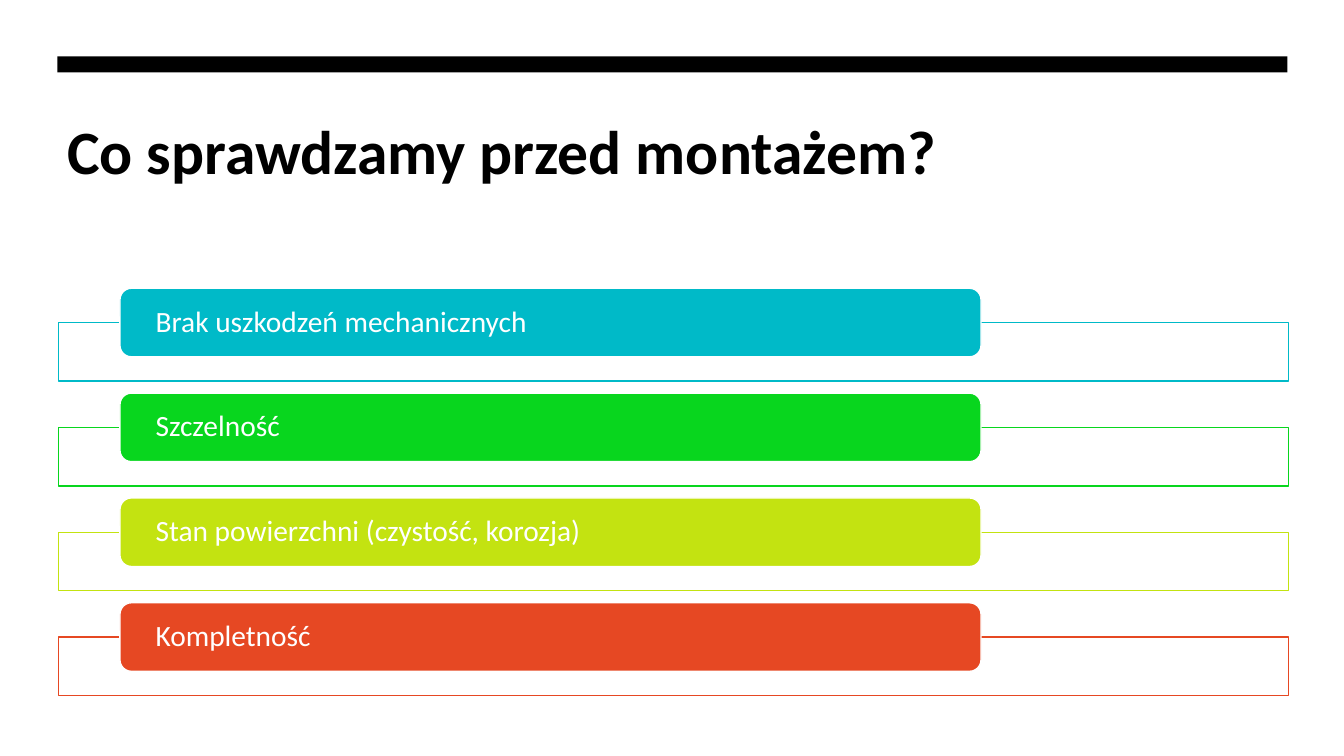
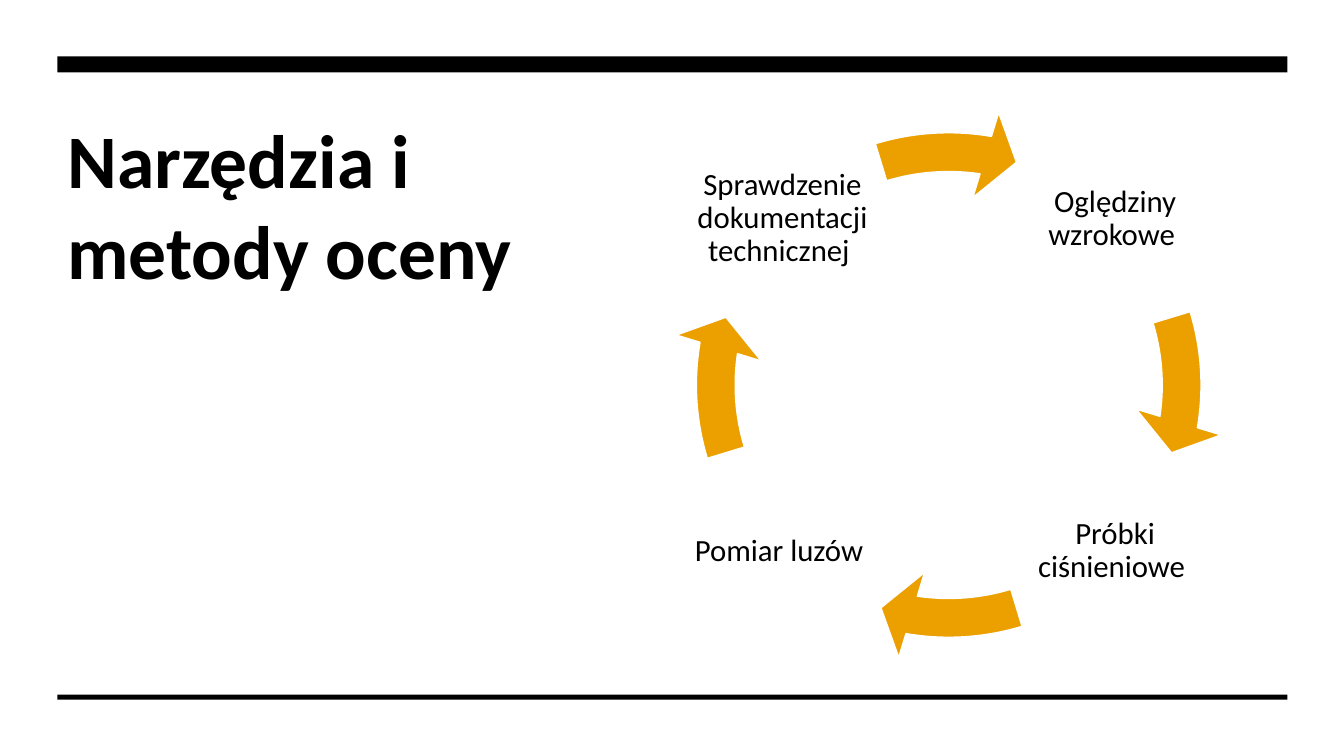
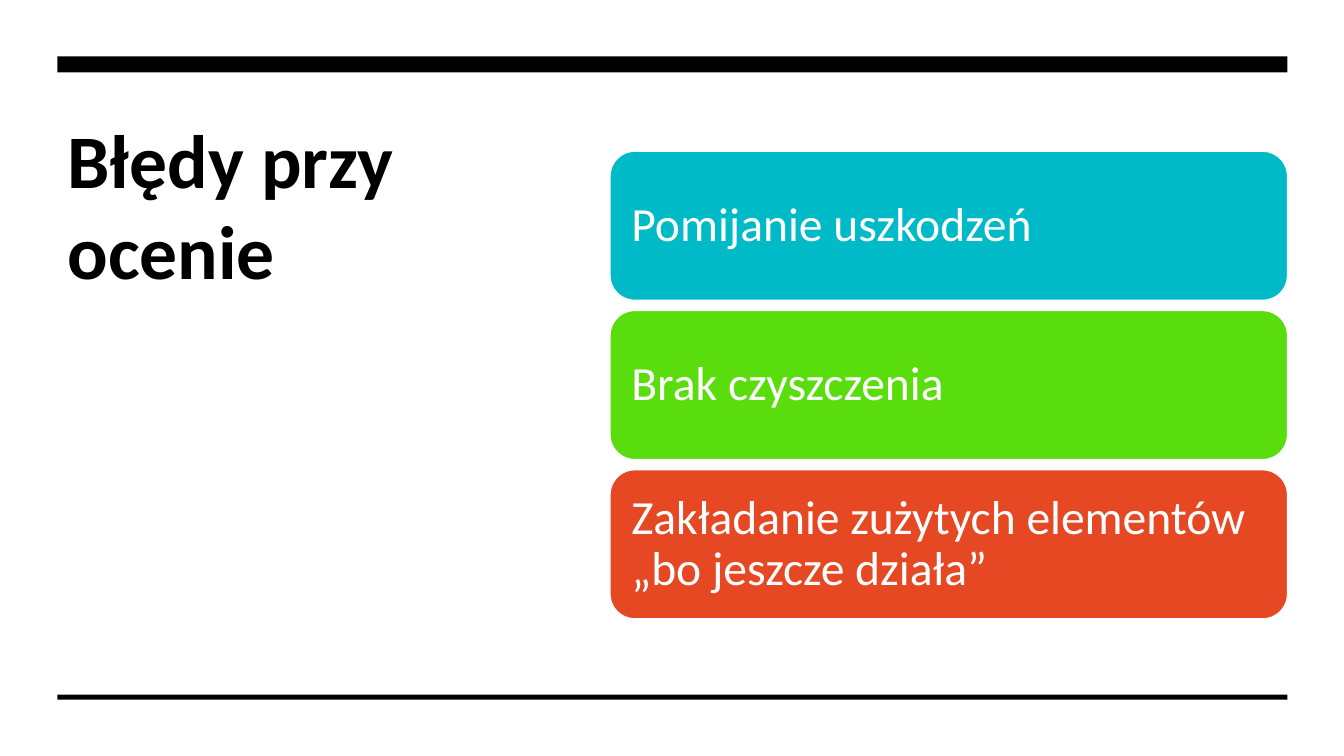
from pptx import Presentation
from pptx.dml.color import RGBColor
from pptx.enum.shapes import MSO_SHAPE as Shape
from pptx.enum.text import MSO_ANCHOR as Anchor, PP_ALIGN as Align
from pptx.util import Inches, Pt

HUES = {
    "black": "000000",
    "white": "FFFFFF",
    "teal": "00BAC8",
    "green": "08D61E",
    "lime": "C3E311",
    "grass": "59DD0C",
    "red": "E64823",
    "amber": "EBA000",
}
FONT = "Calibri"
LEFT, WIDTH = 0.57, 12.2


def rgb(hue):
    return RGBColor.from_string(HUES[hue])


def add_box(slide, kind, place, fill, line=None):
    box = slide.shapes.add_shape(kind, *map(Inches, place))
    box.shadow.inherit = False
    box.fill.solid()
    box.fill.fore_color.rgb = rgb(fill)
    if line:
        box.line.color.rgb = rgb(line)
        box.line.width = Pt(1)
    else:
        box.line.fill.background()
    return box


def write(shape, text, size, hue, inset, bold=False, align=Align.LEFT,
          anchor=Anchor.MIDDLE, space=0.9):
    """Fill a shape with one paragraph; inset is (sides, top and bottom)."""
    frame = shape.text_frame
    frame.word_wrap = True
    frame.vertical_anchor = anchor
    frame.margin_left = frame.margin_right = Inches(inset[0])
    frame.margin_top = frame.margin_bottom = Inches(inset[1])
    para = frame.paragraphs[0]
    para.alignment = align
    para.line_spacing = space
    run = para.add_run()
    run.text = text
    font = run.font
    font.name, font.size, font.bold = FONT, Pt(size), bold
    font.color.rgb = rgb(hue)


def add_text(slide, place, *args, **style):
    write(slide.shapes.add_textbox(*map(Inches, place)), *args, **style)


def add_slide(deck, title, size, width, height, foot=True):
    """Add a slide with the top band, the title and, if asked, the foot rule."""
    slide = deck.slides.add_slide(deck.slide_layouts[6])
    add_text(slide, (LEFT, 1.07, width, height), title, size, "black",
             (0.1, 0.05), bold=True, anchor=Anchor.TOP, space=1.0)
    add_box(slide, Shape.RECTANGLE, (LEFT, 0.56, WIDTH, 0.16), "black")
    if foot:
        add_box(slide, Shape.RECTANGLE, (LEFT, 6.89, WIDTH, 0.05), "black")
    return slide


def add_card(slide, place, hue, text, size, inset):
    card = add_box(slide, Shape.ROUNDED_RECTANGLE, place, hue, "white")
    write(card, text, size, "white", inset)


def add_checks(slide, items):
    """Stack label cards, each over an outlined strip."""
    for i, (text, hue) in enumerate(items):
        top = 2.86 + 1.04 * i
        add_box(slide, Shape.RECTANGLE, (0.58, top + 0.34, WIDTH, 0.58),
                "white", hue)
        add_card(slide, (1.19, top, 8.54, 0.68), hue, text, 21, (0.32, 0))


def add_cycle(slide, steps):
    """Place four steps clockwise from top right, an arrow after each."""
    mid_x, mid_y, reach, side, ring = 9.41, 3.82, 1.65, 1.95, 5.5
    turn = 54  # a quarter turn in adjustment units
    signs = [(1, -1), (1, 1), (-1, 1), (-1, -1)]
    for i, (text, (sx, sy)) in enumerate(zip(steps, signs)):
        place = (mid_x + sx * reach - side / 2, mid_y + sy * reach - side / 2,
                 side, side)
        add_text(slide, place, text, 22, "black", (0.03, 0.03),
                 align=Align.CENTER)
        arrow = add_box(slide, Shape.CIRCULAR_ARROW,
                        (mid_x - ring / 2, mid_y - ring / 2, ring, ring),
                        "amber", "white")
        angles = (0.07, 4.66, 5.49 + turn * i,
                  (205.86 + turn * i) % (4 * turn), 0.08)
        for n, angle in enumerate(angles):
            arrow.adjustments[n] = angle


def add_faults(slide, items):
    for i, (text, hue) in enumerate(items):
        add_card(slide, (6.05, 1.5 + 1.58 * i, 6.72, 1.48), hue, text, 34,
                 (0.14, 0.14))


def main():
    deck = Presentation()
    deck.slide_width, deck.slide_height = Inches(13.33), Inches(7.5)

    slide = add_slide(deck, "Co sprawdzamy przed montażem?", 44, WIDTH, 1.6,
                      foot=False)
    add_checks(slide, [
        ("Brak uszkodzeń mechanicznych", "teal"),
        ("Szczelność", "green"),
        ("Stan powierzchni (czystość, korozja)", "lime"),
        ("Kompletność", "red"),
    ])

    slide = add_slide(deck, "Narzędzia i metody oceny", 54, 4.69, 3.68)
    add_cycle(slide, [
        "Oględziny wzrokowe ",
        "Próbki ciśnieniowe ",
        "Pomiar luzów ",
        "Sprawdzenie dokumentacji technicznej ",
    ])

    slide = add_slide(deck, "Błędy przy ocenie", 54, 4.69, 3.68)
    add_faults(slide, [
        ("Pomijanie uszkodzeń", "teal"),
        ("Brak czyszczenia", "grass"),
        ("Zakładanie zużytych elementów „bo jeszcze działa”", "red"),
    ])

    deck.save("out.pptx")


if __name__ == "__main__":
    main()
